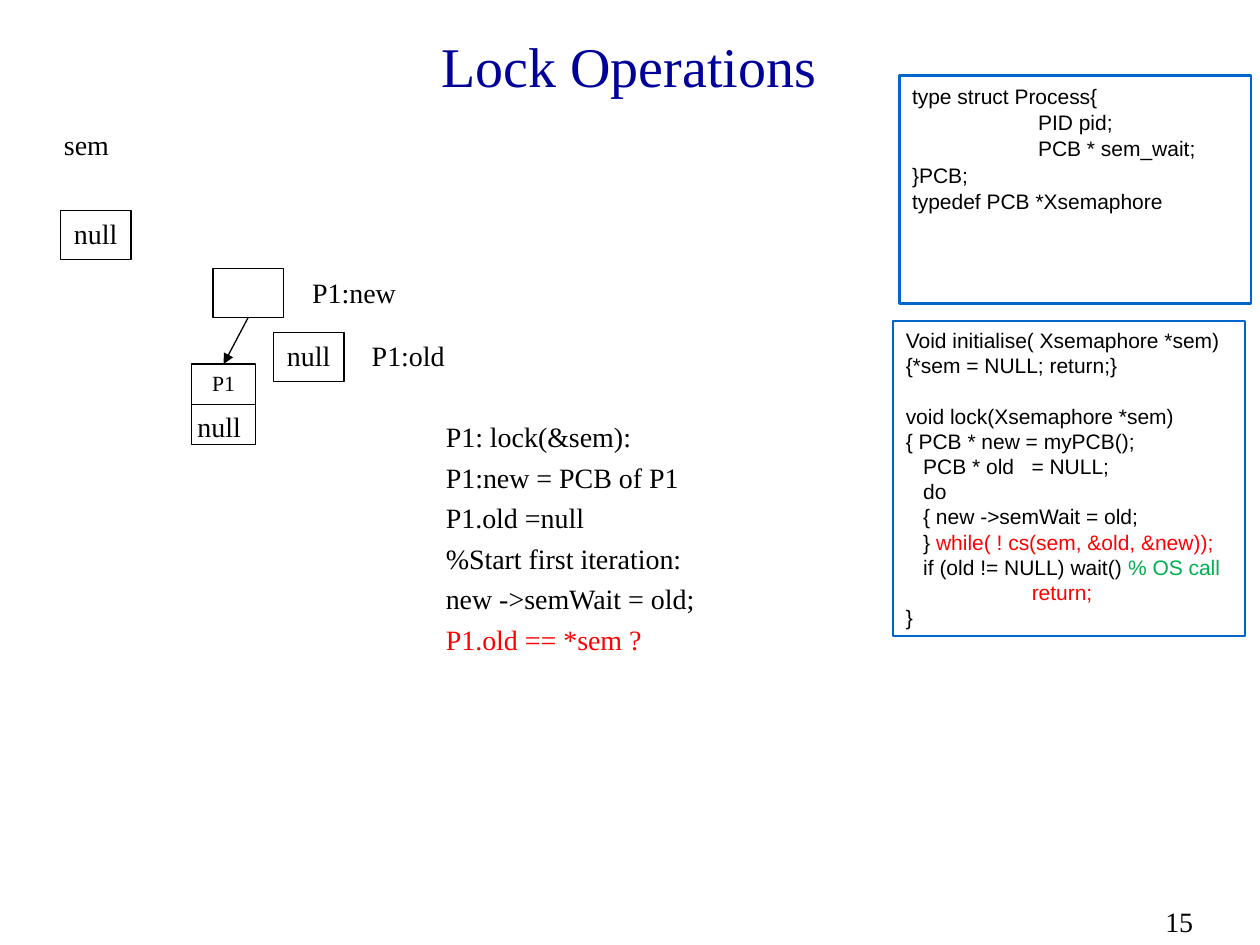
"""Build the Lock Operations slide; each place is left, top, width, height in percent."""
from lxml.etree import SubElement
from pptx import Presentation
from pptx.dml.color import RGBColor
from pptx.enum.shapes import MSO_CONNECTOR as CONN, MSO_SHAPE as SHAPE
from pptx.enum.text import MSO_ANCHOR as ANCHOR, PP_ALIGN as ALIGN
from pptx.oxml.ns import qn
from pptx.util import Inches, Pt

BLACK, WHITE, RED, GREEN = "000000", "FFFFFF", "FF0000", "00B050"
NAVY, BLUE = "000099", "0066CC"
SERIF, SANS = "Times New Roman", "Arial"
LEFT, CENTER = ALIGN.LEFT, ALIGN.CENTER

STEPS = ["P1: lock(&sem):", "P1:new = PCB of P1", "P1.old =null",
         "%Start first iteration:", "new ->semWait = old;",
         [("P1.old == *sem ?", RED)]]
STRUCT_CODE = ["type struct Process{", "\tPID pid;", "\tPCB * sem_wait;", "}PCB;",
               "typedef PCB *Xsemaphore"]
INIT_CODE = ["Void initialise( Xsemaphore *sem)", "{*sem = NULL; return;}"]
LOCK_CODE = ["void lock(Xsemaphore *sem)", "{ PCB * new = myPCB();",
             "   PCB * old   = NULL;", "   do", "   { new ->semWait = old;",
             [("   } ", BLACK), ("while( ! cs(sem, &old, &new));", RED)],
             [("   if (old != NULL) wait() ", BLACK), ("% OS call", GREEN)],
             [("\t", BLACK), ("return;", RED)], "}"]

TEXTS = [
    (["15"], (91.5, 95.07, 8.5, 4.93), LEFT),
    (["sem"], (4.1, 12.8, 19.4, 4.93), LEFT),
    (STEPS, (34.4, 43.73, 35.4, 30.67), LEFT),
    (["P1:new"], (23.2, 28.53, 9.8, 5.2), CENTER),
    (["P1:old"], (27.5, 35.2, 9.8, 5.2), CENTER),
]
POINTERS = {"sem": ("null", 4.8, 22.27), "new": ("", 16.9, 28.4), "old": ("null", 21.7, 35.2)}
POINTER_SIZE = (5.6, 5.2)
PCB_LEFT, PCB_TOP, PCB_WIDTH, PCB_ROW = 15.2, 38.53, 5.1, 4.27


def rgb(color):
    """Turn a hex string into a colour."""
    return RGBColor.from_string(color)


def place(left, top, width, height):
    """Turn percentages of the slide into lengths."""
    return [int(share * full / 100) for share, full in
            zip((left, top, width, height), (prs.slide_width, prs.slide_height) * 2)]


def write(sp, lines, size=16, font=SERIF, color=BLACK, align=LEFT, before=4, spacing=None):
    """Fill a shape with one paragraph per line of plain text or coloured runs."""
    tf = sp.text_frame
    tf.word_wrap = True
    tf.vertical_anchor = ANCHOR.TOP
    for i, line in enumerate(lines):
        p = tf.add_paragraph() if i else tf.paragraphs[0]
        p.alignment = align
        p.line_spacing = spacing
        if i:
            p.space_before = Pt(before)
        runs = [(line, color)] if isinstance(line, str) else line
        if runs[0][0].startswith("\t"):
            tabs = SubElement(p._p.get_or_add_pPr(), qn("a:tabLst"))
            SubElement(tabs, qn("a:tab"), pos=str(Inches(1)), algn="l")
        for text, tint in runs:
            r = p.add_run()
            r.text = text
            r.font.size, r.font.name = Pt(size), font
            r.font.color.rgb = rgb(tint)
    return tf


def add_text(lines, box, **style):
    """Add a text box."""
    return write(slide.shapes.add_textbox(*place(*box)), lines, **style)


def add_box(box, line=BLACK, width=0.75, fill=WHITE):
    """Add an outlined rectangle."""
    sp = slide.shapes.add_shape(SHAPE.RECTANGLE, *place(*box))
    sp.shadow.inherit = False
    sp.fill.solid()
    sp.fill.fore_color.rgb = rgb(fill)
    sp.line.color.rgb = rgb(line)
    sp.line.width = Pt(width)
    return sp


def add_arrow(start, end):
    """Join the bottom of one box to the top of another with an arrow."""
    c = slide.shapes.add_connector(CONN.STRAIGHT, 0, 0, 0, 0)
    c.begin_connect(start, 2)
    c.end_connect(end, 0)
    c.line.color.rgb = rgb(BLACK)
    c.line.width = Pt(0.75)
    SubElement(c.line._get_or_add_ln(), qn("a:tailEnd"), type="triangle")
    SubElement(c._element.spPr, qn("a:effectLst"))


prs = Presentation()
prs.slide_width, prs.slide_height = Inches(10), Inches(7.5)
slide = prs.slides.add_slide(prs.slide_layouts[6])

title = add_text(["Lock Operations"], (7.4, 2.27, 85, 9.2), size=32, color=NAVY, align=CENTER)
title.vertical_anchor = ANCHOR.MIDDLE
for lines, box, align in TEXTS:
    add_text(lines, box, align=align)

pointers = {}
for name, (value, left, top) in POINTERS.items():
    pointers[name] = add_box((left, top, *POINTER_SIZE))
    if value:
        write(pointers[name], [value], align=CENTER)

pcb, link = [add_box((PCB_LEFT, PCB_TOP + row * PCB_ROW, PCB_WIDTH, PCB_ROW)) for row in range(2)]
write(pcb, ["P1"], size=12.4, align=CENTER)
link_text = add_text(["null"], (14.7, 42.67, 5.4, 4.93), align=CENTER)
link_text.margin_left = link_text.margin_right = 0
add_arrow(pointers["new"], pcb)

code = write(add_box((70.9, 34, 27.9, 33.33), BLUE, 1), INIT_CODE + LOCK_CODE,
             size=12, font=SANS, before=0)
code.paragraphs[len(INIT_CODE)].space_before = Pt(14.4)
write(add_box((71.4, 8, 27.9, 24.13), BLUE, 1.5), STRUCT_CODE,
      size=12, font=SANS, before=0, spacing=1.05)

prs.save("out.pptx")
